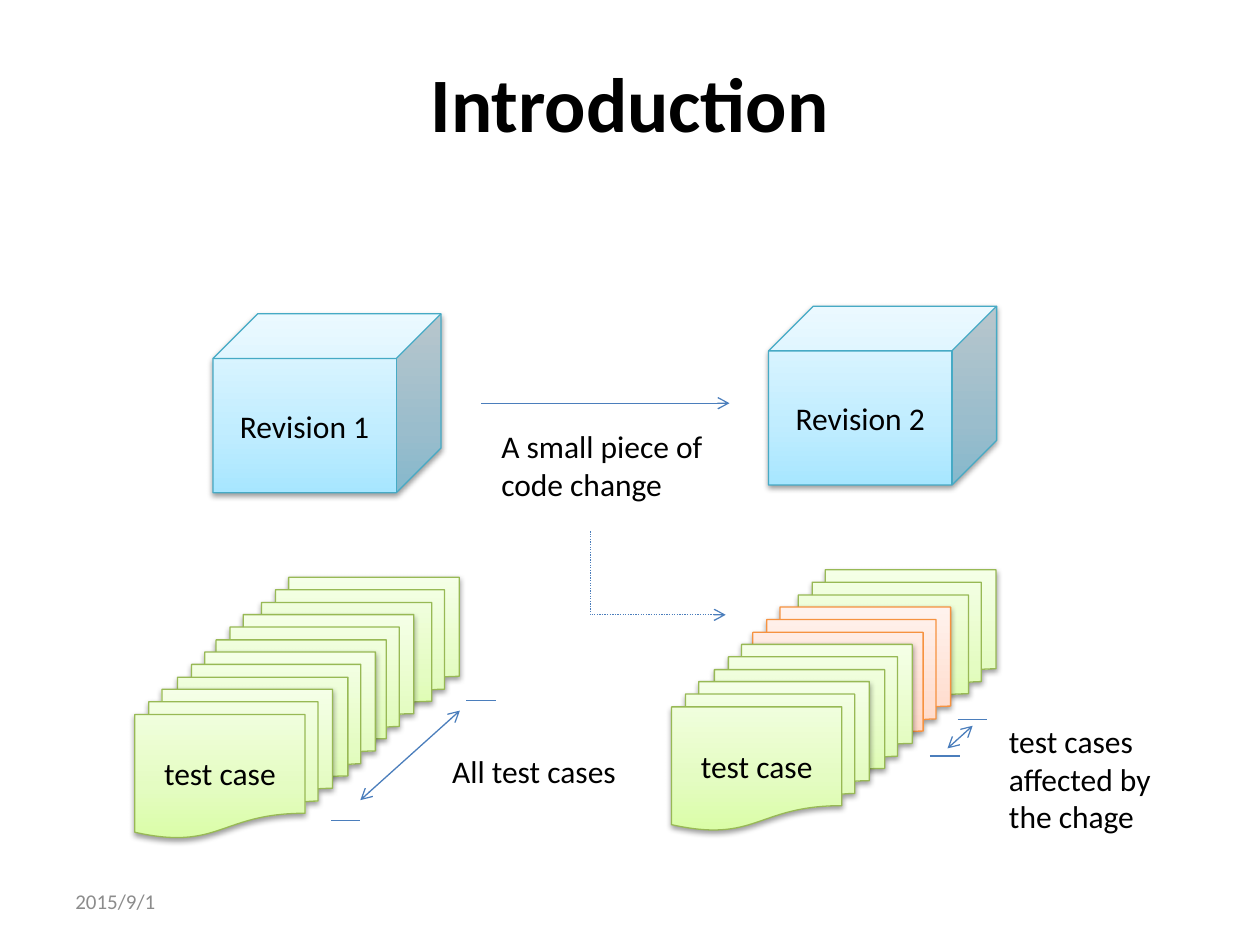
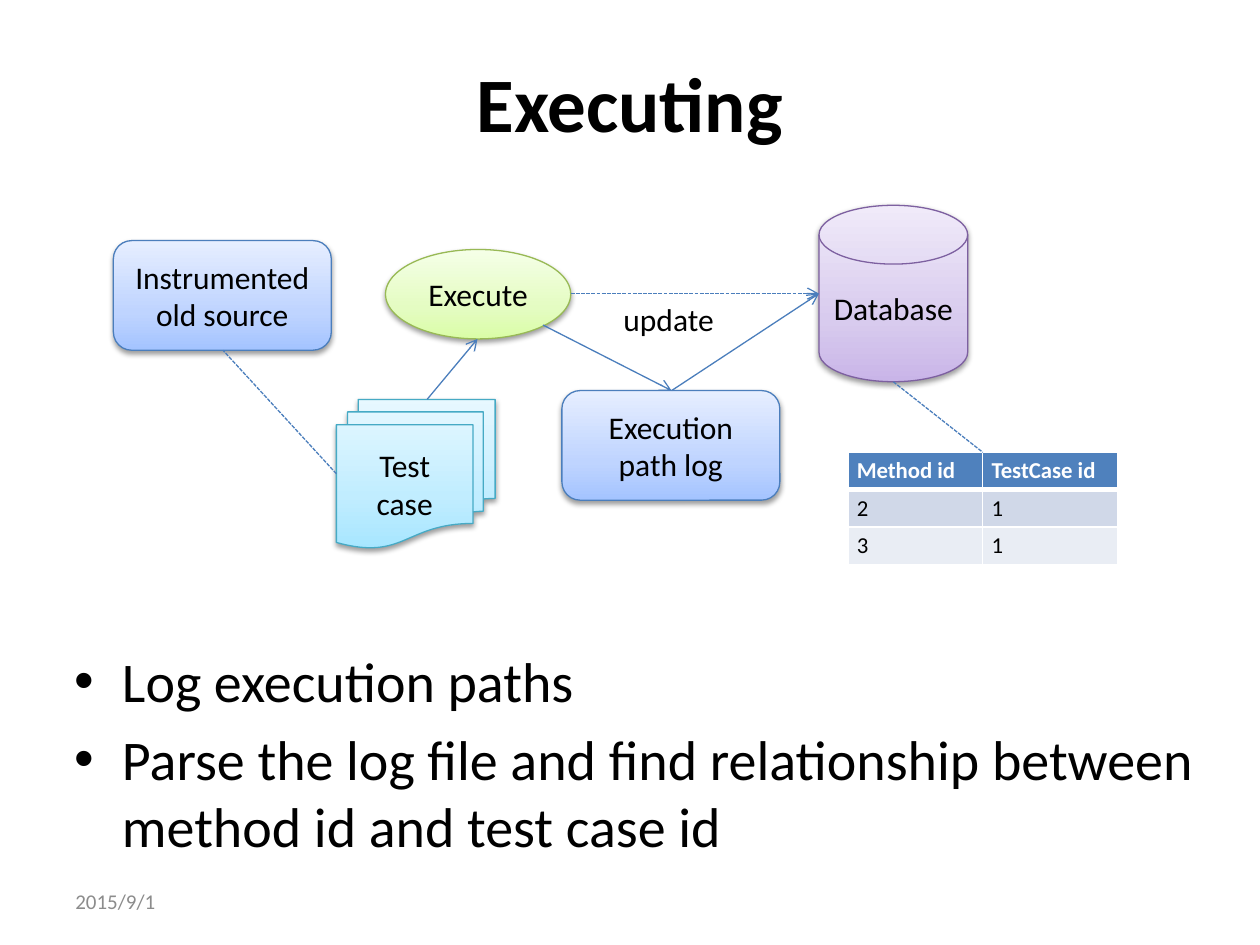
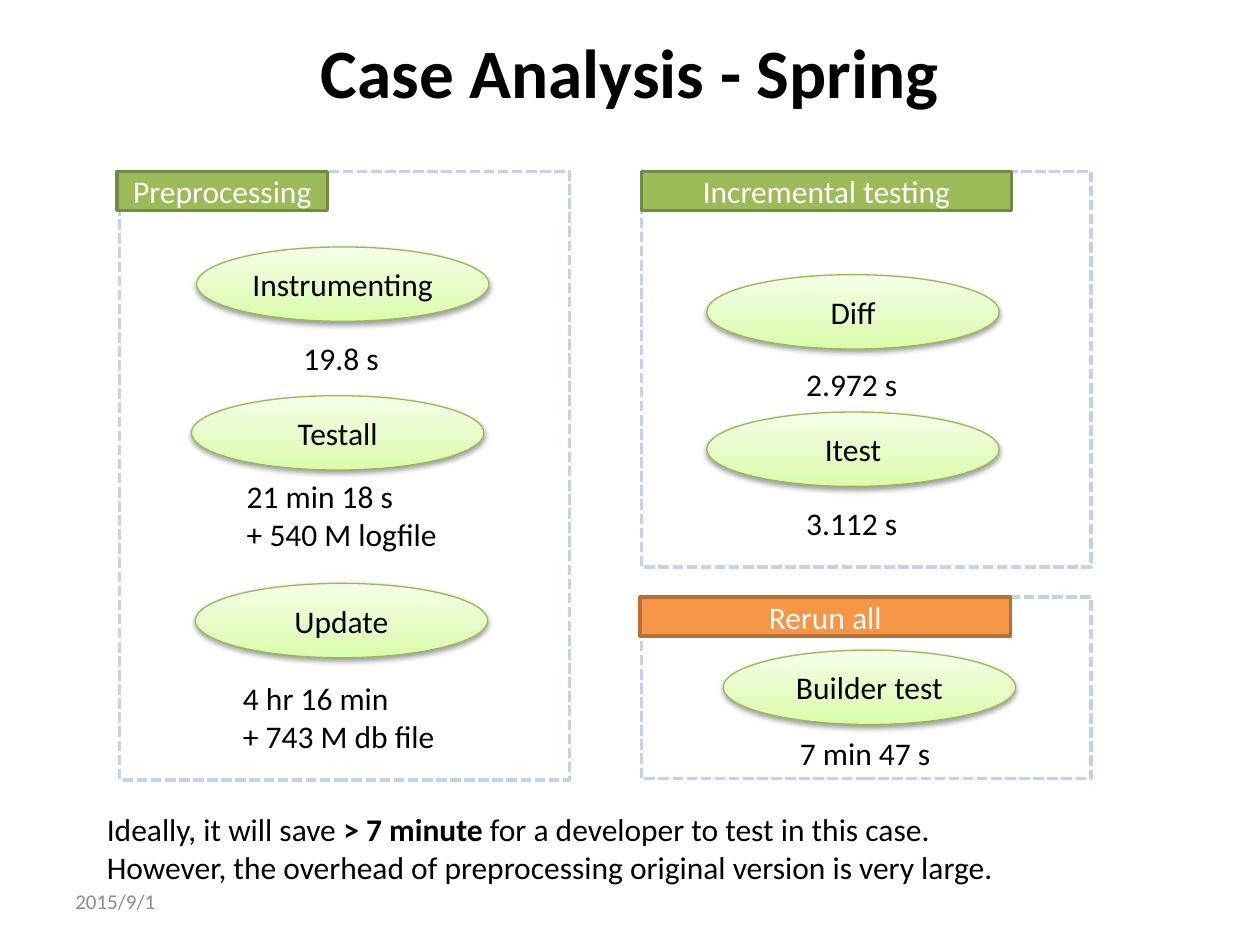
from copy import deepcopy
from dataclasses import dataclass
from typing import Optional

from lxml import etree
from pptx import Presentation
from pptx import util as u
from pptx.dml.color import RGBColor
from pptx.enum import dml, shapes, text
from pptx.oxml.ns import qn

FONT = "Calibri"
BLACK = RGBColor(0x00, 0x00, 0x00)
WHITE = RGBColor(0xFF, 0xFF, 0xFF)
GRAY = RGBColor(0x8C, 0x8C, 0x8C)
BLUE = RGBColor(0x4B, 0x7E, 0xBC)
PALE_BLUE = RGBColor(0xC2, 0xD1, 0xED)
GREEN = RGBColor(0x9B, 0xBB, 0x59)
DARK_GREEN = RGBColor(0x73, 0x8A, 0x42)
ORANGE = RGBColor(0xF7, 0x96, 0x46)
DARK_ORANGE = RGBColor(0xB7, 0x6F, 0x34)
HEADER_FILL = RGBColor(0x4F, 0x81, 0xBD)
ROW_FILLS = (RGBColor(0xD0, 0xD8, 0xE8), RGBColor(0xE9, 0xED, 0xF4))

MSO = shapes.MSO_SHAPE
CENTER = text.PP_ALIGN.CENTER
MIDDLE = text.MSO_ANCHOR.MIDDLE
DOT = dml.MSO_LINE.ROUND_DOT
DASH = dml.MSO_LINE.SQUARE_DOT

prs = Presentation()
prs.slide_width, prs.slide_height = u.Inches(10), u.Inches(7.5)
COL = prs.slide_width / 100
ROW = prs.slide_height / 75


@dataclass(frozen=True)
class Box:
    col: float
    row: float
    cols: float
    rows: float

    def emu(self) -> tuple:
        return (round(self.col * COL), round(self.row * ROW),
                round(self.cols * COL), round(self.rows * ROW))


@dataclass(frozen=True)
class Tint:
    line: RGBColor
    stops: tuple


@dataclass(frozen=True)
class Node:
    kind: int
    box: Box
    tint: Tint
    label: str = ""


@dataclass(frozen=True)
class Link:
    start: tuple
    end: tuple
    head: bool = False
    tail: bool = False
    dash: Optional[int] = None


@dataclass(frozen=True)
class Panel:
    box: Box
    tab: Box
    label: str
    fill: RGBColor
    edge: RGBColor


def tint(line: str, *stops: str) -> Tint:
    return Tint(RGBColor.from_string(line), tuple(RGBColor.from_string(s) for s in stops))


LIME = tint("98B955", "DAFDA7", "E4FCC2", "F5FFE7")
PEACH = tint("F69240", "FFD2BD", "FFDED0", "FFF2ED")
AQUA = tint("46AAC5", "A7E6FF", "C1EDFF", "E7F8FF")
SKY = tint("4B7EBC", "A4C4FF", "BFD4FF", "E6EEFF")
LILAC = tint("7D60A0", "C9B5E8", "D8CBEE", "F0EAF9")


def write(tf, content: str, *, size: float = 18, color: RGBColor = BLACK,
          bold: bool = False, align=None, anchor=None, bullet: bool = False) -> None:
    if anchor is not None:
        tf.vertical_anchor = anchor
    for i, line in enumerate(content.split("\n")):
        p = tf.add_paragraph() if i else tf.paragraphs[0]
        p.alignment = align
        if bullet:
            p.space_before = u.Pt(size * 0.2)
            pPr = p._p.get_or_add_pPr()
            pPr.set("marL", str(u.Inches(0.38)))
            pPr.set("indent", str(-u.Inches(0.38)))
            etree.SubElement(pPr, qn("a:buFont"), typeface="Arial")
            etree.SubElement(pPr, qn("a:buChar"), char="•")
        for j, part in enumerate(line.split("**")):
            r = p.add_run()
            r.text = part
            r.font.name, r.font.size = FONT, u.Pt(size)
            r.font.bold = bold or j % 2 == 1
            r.font.color.rgb = color


def add_text(s, box: Box, content: str, *, wrap: bool = True, grow: bool = False, **fmt) -> None:
    tf = s.shapes.add_textbox(*box.emu()).text_frame
    tf.word_wrap = wrap
    if grow:
        tf.auto_size = text.MSO_AUTO_SIZE.SHAPE_TO_FIT_TEXT
    write(tf, content, **fmt)


def add_node(s, node: Node) -> None:
    sp = s.shapes.add_shape(node.kind, *node.box.emu())
    sp.fill.gradient()
    sp.fill.gradient_angle = 90
    stops = sp._element.spPr.find(".//" + qn("a:gsLst"))
    stops.insert(1, deepcopy(stops[0]))
    for stop, color, position in zip(sp.fill.gradient_stops, node.tint.stops, (0, 0.35, 1)):
        stop.color.rgb, stop.position = color, position
    sp.line.color.rgb, sp.line.width = node.tint.line, u.Pt(0.75)
    sp.shadow.inherit = False
    effects = sp._element.spPr.find(qn("a:effectLst"))
    shadow = etree.SubElement(effects, qn("a:outerShdw"), blurRad="40000",
                              dist="20000", dir="5400000", rotWithShape="0")
    color = etree.SubElement(shadow, qn("a:srgbClr"), val="000000")
    etree.SubElement(color, qn("a:alpha"), val="38000")
    if node.label:
        write(sp.text_frame, node.label, align=CENTER, anchor=MIDDLE)


def add_link(s, link: Link, kind: int = shapes.MSO_CONNECTOR.STRAIGHT):
    ends = [round(v * unit) for point in (link.start, link.end)
            for v, unit in zip(point, (COL, ROW))]
    c = s.shapes.add_connector(kind, *ends)
    c.line.color.rgb, c.line.width = BLUE, u.Pt(0.75)
    if link.dash is not None:
        c.line.dash_style = link.dash
    spPr = c._element.spPr
    for tag, shown in (("a:headEnd", link.head), ("a:tailEnd", link.tail)):
        if shown:
            etree.SubElement(spPr.find(qn("a:ln")), qn(tag), type="arrow")
    etree.SubElement(spPr, qn("a:effectLst"))
    return c


def add_rect(s, box: Box, edge: RGBColor, fill: Optional[RGBColor] = None):
    sp = s.shapes.add_shape(MSO.RECTANGLE, *box.emu())
    sp.shadow.inherit = False
    sp.line.color.rgb, sp.line.width = edge, u.Pt(2)
    if fill is None:
        sp.fill.background()
        sp.line.dash_style = DASH
    else:
        sp.fill.solid()
        sp.fill.fore_color.rgb = fill
    return sp


def add_panel(s, panel: Panel) -> None:
    add_rect(s, panel.box, PALE_BLUE)
    tab = add_rect(s, panel.tab, panel.edge, panel.fill)
    write(tab.text_frame, panel.label, color=WHITE, align=CENTER, anchor=MIDDLE)


def add_stack(s, col: float, row: float, tints: tuple) -> None:
    for i, shift in ((3, 10.05), (2, 6.45), (1, 3.4), (0, 0)):
        box = Box(col + shift, row - 2.96 * i, 15.7, 11.8)
        add_node(s, Node(MSO.FLOWCHART_MULTIDOCUMENT, box, tints[i], "" if i else "test case"))


def set_borders(cell, bottom: float) -> None:
    tcPr = cell._tc.get_or_add_tcPr()
    for i, (side, width) in enumerate((("L", 1), ("R", 1), ("T", 1), ("B", bottom))):
        ln = etree.Element(qn("a:ln" + side), w=str(u.Pt(width)))
        fill = etree.SubElement(ln, qn("a:solidFill"))
        etree.SubElement(fill, qn("a:srgbClr"), val=str(WHITE))
        tcPr.insert(i, ln)


def add_grid(s, box: Box, rows: list) -> None:
    table = s.shapes.add_table(len(rows), len(rows[0]), *box.emu()).table
    for i, values in enumerate(rows):
        for j, value in enumerate(values):
            cell = table.cell(i, j)
            cell.margin_left = cell.margin_right = u.Inches(0.07)
            cell.margin_top = cell.margin_bottom = u.Inches(0.04)
            cell.fill.solid()
            cell.fill.fore_color.rgb = ROW_FILLS[(i - 1) % 2] if i else HEADER_FILL
            set_borders(cell, 1 if i else 3)
            write(cell.text_frame, value, size=13, bold=i == 0, color=BLACK if i else WHITE)


def new_slide(title: str, box: Box = Box(5, 3, 90, 10.1), size: float = 44):
    s = prs.slides.add_slide(prs.slide_layouts[6])
    add_text(s, box, title, size=size, bold=True, align=CENTER, anchor=MIDDLE)
    add_text(s, Box(5, 69.5, 23.3, 4), "2015/9/1", size=12, color=GRAY, anchor=MIDDLE)
    return s


def build_introduction() -> None:
    s = new_slide("Introduction")
    for col, row, label in ((16.9, 24.9, "Revision 1"), (61, 24.3, "Revision 2")):
        add_node(s, Node(MSO.CUBE, Box(col, row, 18.1, 14.2), AQUA, label))
    add_stack(s, 10.7, 54.7, (LIME, LIME, LIME, LIME))
    add_stack(s, 53.3, 54.1, (LIME, LIME, PEACH, LIME))
    for link in (
        Link((38.2, 32), (57.9, 32), tail=True),
        Link((37, 55.6), (39.4, 55.6)),
        Link((26.3, 65.1), (28.6, 65.1)),
        Link((28.6, 63.5), (36.5, 56.4), head=True, tail=True),
        Link((76, 57.1), (78.3, 57.1)),
        Link((73.8, 60), (76.2, 60)),
        Link((75.2, 59.4), (77.2, 57.6), head=True, tail=True),
    ):
        add_link(s, link)
    elbow = add_link(s, Link((46.9, 42.2), (57.6, 48.8), tail=True, dash=DOT),
                     shapes.MSO_CONNECTOR.ELBOW)
    guides = elbow._element.spPr.find(".//" + qn("a:avLst"))
    etree.SubElement(guides, qn("a:gd"), name="adj1", fmla="val -500")
    for box, content in (
        (Box(38.8, 33.4, 18.8, 7.1), "A small piece of \ncode change"),
        (Box(34.9, 59.2, 15.1, 4), "All test cases"),
        (Box(79.1, 56.8, 14, 10.1), "test cases\naffected by \nthe chage"),
    ):
        add_text(s, box, content, wrap=False, grow=True)


def build_executing() -> None:
    s = new_slide("Executing")
    for node in (
        Node(MSO.FLOWCHART_MULTIDOCUMENT, Box(26.7, 31.7, 12.6, 11.8), AQUA, "Test case"),
        Node(MSO.ROUNDED_RECTANGLE, Box(9, 19.1, 17.3, 8.7), SKY, "Instrumented\nold source"),
        Node(MSO.OVAL, Box(30.6, 19.8, 14.7, 7.1), LIME, "Execute"),
        Node(MSO.FLOWCHART_MAGNETIC_DISK, Box(65, 16.3, 11.8, 14), LILAC, "Database"),
        Node(MSO.ROUNDED_RECTANGLE, Box(44.6, 31, 17.3, 8.7), SKY, "Execution path log"),
    ):
        add_node(s, node)
    add_text(s, Box(48.5, 23.3, 9.7, 4), "update", grow=True)
    add_text(s, Box(4.9, 50.8, 91.6, 17.1),
             "Log execution paths\n"
             "Parse the log file and find relationship between method id and test case id",
             size=32, bullet=True)
    add_grid(s, Box(67.3, 35.9, 21.4, 8.8),
             [("Method id", "TestCase id"), ("2", "1"), ("3", "1")])
    database, log = (65, 23.3), (53.3, 31)
    for link in (
        Link((33.9, 31.7), (37.9, 26.9), tail=True),
        Link((26.7, 37.6), (17.7, 27.8), dash=DASH),
        Link((45.3, 23.3), database, tail=True, dash=DASH),
        Link((70.9, 30.3), (78, 35.9), dash=DASH),
        Link((43.1, 25.8), log, tail=True),
        Link(log, database, tail=True),
    ):
        add_link(s, link)


def build_case_analysis() -> None:
    s = new_slide("Case Analysis - Spring", Box(5, 1.8, 90, 7.6), 39.6)
    for panel in (
        Panel(Box(9.5, 13.6, 35.7, 48.3), Box(9.3, 13.6, 16.7, 3.1),
              "Preprocessing", GREEN, DARK_GREEN),
        Panel(Box(50.9, 13.6, 35.7, 31.4), Box(50.9, 13.6, 29.4, 3.1),
              "Incremental testing", GREEN, DARK_GREEN),
        Panel(Box(50.9, 47.4, 35.7, 14.4), Box(50.8, 47.4, 29.4, 3.1),
              "Rerun all", ORANGE, DARK_ORANGE),
    ):
        add_panel(s, panel)
    for col, row, label in (
        (15.6, 19.6, "Instrumenting"), (15.2, 31.4, "Testall"), (15.5, 46.3, "Update"),
        (56.1, 21.8, "Diff"), (56.1, 32.7, "Itest"), (57.4, 51.6, "Builder test"),
    ):
        add_node(s, Node(MSO.OVAL, Box(col, row, 23.2, 5.9), LIME, label))
    for box, content in (
        (Box(23.1, 26.4, 8.1, 4), "19.8 s"),
        (Box(18.6, 37.4, 18.9, 7.1), "21 min 18 s\n+ 540 M logfile"),
        (Box(18.3, 53.4, 17.6, 7.1), "4 hr 16 min\n+ 743 M db file"),
        (Box(63, 28.5, 9.3, 4), "2.972 s"),
        (Box(63, 39.5, 9.3, 4), "3.112 s"),
        (Box(62.5, 57.8, 12.5, 4), "7 min 47 s"),
    ):
        add_text(s, box, content, wrap="\n" in content, grow=True)
    add_text(s, Box(7.5, 63.8, 89.6, 7.1),
             "Ideally, it will save **> 7 minute **for a developer to test in this case.\n"
             "However, the overhead of preprocessing original version is very large.", grow=True)


build_introduction()
build_executing()
build_case_analysis()
prs.save("out.pptx")
